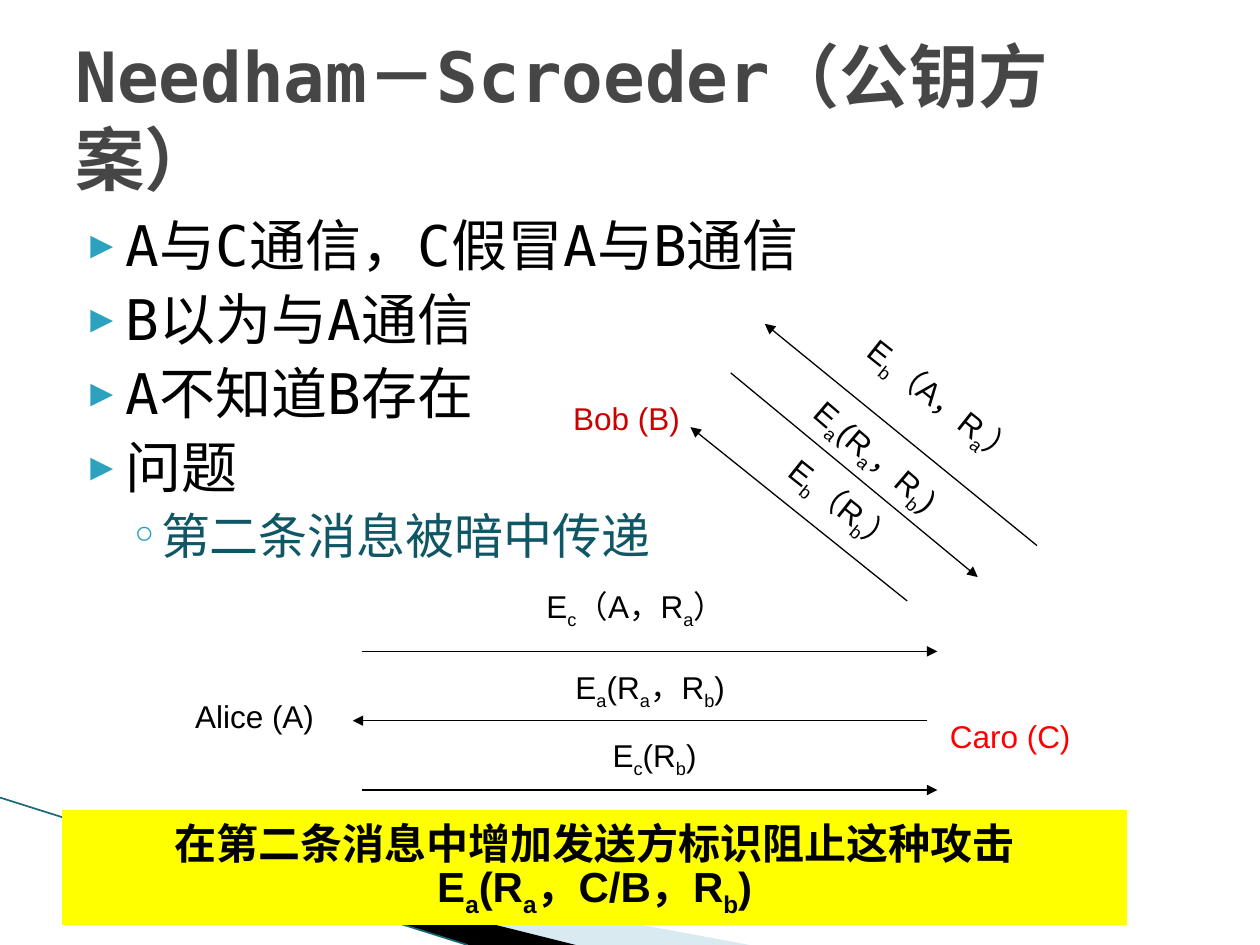
import pptx
import pptx.dml.color
import pptx.enum.shapes
import pptx.enum.text
import pptx.oxml
import pptx.oxml.ns
import pptx.util
from lxml import etree

Inches = pptx.util.Inches
Pt = pptx.util.Pt
qn = pptx.oxml.ns.qn
ALIGN = pptx.enum.text.PP_ALIGN
ANCHOR = pptx.enum.text.MSO_ANCHOR

COLORS = {
    "ink": "000000",
    "title": "464646",
    "subpoint": "105766",
    "bullet": "2DA2BF",
    "caro": "FF0000",
    "bob": "CC0000",
    "remedy": "FFFF00",
    "swoosh": "A0CBDC",
    "edge": "17697A",
}
MONO = "DejaVu Sans Mono"
SANS = "Arial"
CJK = "Noto Sans CJK SC"


def rgb(name):
    return pptx.dml.color.RGBColor.from_string(COLORS[name])


def write_text(paragraph, text, font=SANS, size=18, color="ink", bold=False,
               align=ALIGN.LEFT, before=0, line=None):
    """Each underscore turns the letter after it into a subscript."""
    paragraph.alignment = align
    paragraph.space_before = Pt(before)
    if line:
        paragraph.line_spacing = Pt(line)
    first, *marked = text.split("_")
    pieces = [(first, False)]
    for part in marked:
        pieces += [(part[0], True), (part[1:], False)]
    for piece, lowered in pieces:
        if not piece:
            continue
        run = paragraph.add_run()
        run.text = piece
        run.font.name = font
        run.font.size = Pt(size)
        run.font.bold = bold
        run.font.color.rgb = rgb(color)
        properties = run.font._element
        etree.SubElement(properties, qn("a:ea"), typeface=font)
        if lowered:
            properties.set("baseline", "-25000")


class Slide:
    def __init__(self, deck):
        self.shapes = deck.slides.add_slide(deck.slide_layouts[6]).shapes

    def box(self, left, top, width, height, anchor=ANCHOR.TOP, angle=0):
        box = self.shapes.add_textbox(Inches(left), Inches(top), Inches(width), Inches(height))
        box.rotation = angle
        box.text_frame.word_wrap = True
        box.text_frame.vertical_anchor = anchor
        return box.text_frame

    def label(self, text, left, top, width, height=0.4, anchor=ANCHOR.TOP, angle=0, **style):
        frame = self.box(left, top, width, height, anchor, angle)
        write_text(frame.paragraphs[0], text, **style)

    def bullets(self, points, left, top, width, height):
        frame = self.box(left, top, width, height)
        levels = [
            dict(mark="▶", indent=0.4, hang=0.28, scale=68, size=32, color="ink", before=4),
            dict(mark="◦", indent=0.68, hang=0.25, scale=100, size=28, color="subpoint", before=3.2),
        ]
        for index, (level, text) in enumerate(points):
            look = levels[level]
            paragraph = frame.add_paragraph() if index else frame.paragraphs[0]
            paragraph.level = level
            write_text(paragraph, text, font=MONO, size=look["size"], color=look["color"],
                       before=look["before"] if index else 0)
            properties = paragraph._p.get_or_add_pPr()
            properties.set("marL", str(Inches(look["indent"])))
            properties.set("indent", str(-Inches(look["hang"])))
            tint = etree.SubElement(properties, qn("a:buClr"))
            etree.SubElement(tint, qn("a:srgbClr"), val=COLORS["bullet"])
            etree.SubElement(properties, qn("a:buSzPct"), val=str(look["scale"] * 1000))
            etree.SubElement(properties, qn("a:buFont"), typeface=MONO)
            etree.SubElement(properties, qn("a:buChar"), char=look["mark"])

    def line(self, start, end, color="ink", width=0.75, arrow=True):
        line = self.shapes.add_connector(
            pptx.enum.shapes.MSO_CONNECTOR.STRAIGHT, *map(Inches, start + end))
        line.line.color.rgb = rgb(color)
        line.line.width = Pt(width)
        if arrow:
            etree.SubElement(line.line._get_or_add_ln(), qn("a:tailEnd"), type="triangle")
        etree.SubElement(line._element.spPr, qn("a:effectLst"))

    def polygon(self, points, color, opacity=100):
        corners = [(Inches(x), Inches(y)) for x, y in points]
        builder = self.shapes.build_freeform(*corners[0])
        builder.add_line_segments(corners[1:], close=True)
        polygon = builder.convert_to_shape()
        polygon.shadow.inherit = False
        polygon.fill.solid()
        polygon.fill.fore_color.rgb = rgb(color)
        polygon.line.fill.background()
        if opacity < 100:
            tint = polygon._element.spPr.find(qn("a:solidFill"))[0]
            etree.SubElement(tint, qn("a:alpha"), val=str(opacity * 1000))

    def banner(self, lines, left, top, width, height, color):
        banner = self.shapes.add_shape(
            pptx.enum.shapes.MSO_SHAPE.RECTANGLE,
            Inches(left), Inches(top), Inches(width), Inches(height))
        banner.shadow.inherit = False
        banner.fill.solid()
        banner.fill.fore_color.rgb = rgb(color)
        banner.line.color.rgb = rgb(color)
        banner.line.width = Pt(0.75)
        frame = banner.text_frame
        frame.word_wrap = True
        frame.vertical_anchor = ANCHOR.MIDDLE
        for index, (text, font) in enumerate(lines):
            paragraph = frame.add_paragraph() if index else frame.paragraphs[0]
            write_text(paragraph, text, font=font, size=24, bold=True,
                       align=ALIGN.CENTER, line=29)


def main():
    deck = pptx.Presentation()
    deck.slide_width = Inches(10)
    deck.slide_height = Inches(7.5)
    slide = Slide(deck)

    slide.polygon([(0.55, 6.5), (5.95, 7.5), (4.56, 7.5)], "swoosh", opacity=40)
    slide.polygon([(0.53, 6.49), (4.57, 7.5), (3.72, 7.5)], "ink")
    slide.line((0, 6.33), (3.71, 7.5), color="edge", width=0.95, arrow=False)

    slide.bullets([
        (0, "A与C通信，C假冒A与B通信"),
        (0, "B以为与A通信"),
        (0, "A不知道B存在"),
        (0, "问题"),
        (1, "第二条消息被暗中传递"),
    ], 0.5, 1.62, 9, 4.95)
    slide.label("Needham－Scroeder（公钥方案）", 0.5, 0.3, 9, 1.25, anchor=ANCHOR.MIDDLE,
                font=MONO, size=39.6, color="title", bold=True)

    slide.label("Alice (A)", 1.45, 5.48, 1.26)
    slide.label("Caro (C)", 7.44, 5.64, 1.5, color="caro")
    slide.label("Bob (B)", 4.45, 3.12, 1.26, color="bob")

    messages = [
        ((2.87, 5.17), (7.44, 5.17), "E_c（A，R_a）", (3.35, 4.61, 3.39), 0),
        ((7.36, 5.72), (2.8, 5.72), "E_a(R_a，R_b)", (3.27, 5.25, 3.78), 0),
        ((2.87, 6.27), (7.44, 6.27), "E_c(R_b)", (3.5, 5.79, 3.39), 0),
        ((8.23, 4.33), (6.07, 2.57), "E_b（A，R_a）", (5.79, 2.99, 3.39), 38.4),
        ((5.8, 2.96), (7.76, 4.58), "E_a(R_a，R_b)", (5.56, 3.42, 2.79), 40.6),
        ((7.2, 4.77), (5.48, 3.39), "E_b（R_b）", (5, 3.81, 3.39), 38.4),
    ]
    for sender, receiver, formula, place, angle in messages:
        slide.line(sender, receiver)
        slide.label(formula, *place, angle=angle, align=ALIGN.CENTER)

    slide.banner([
        ("在第二条消息中增加发送方标识阻止这种攻击", CJK),
        ("E_a(R_a，C/B，R_b)", SANS),
    ], 0.5, 6.43, 8.44, 0.91, "remedy")

    deck.save("out.pptx")


if __name__ == "__main__":
    main()
